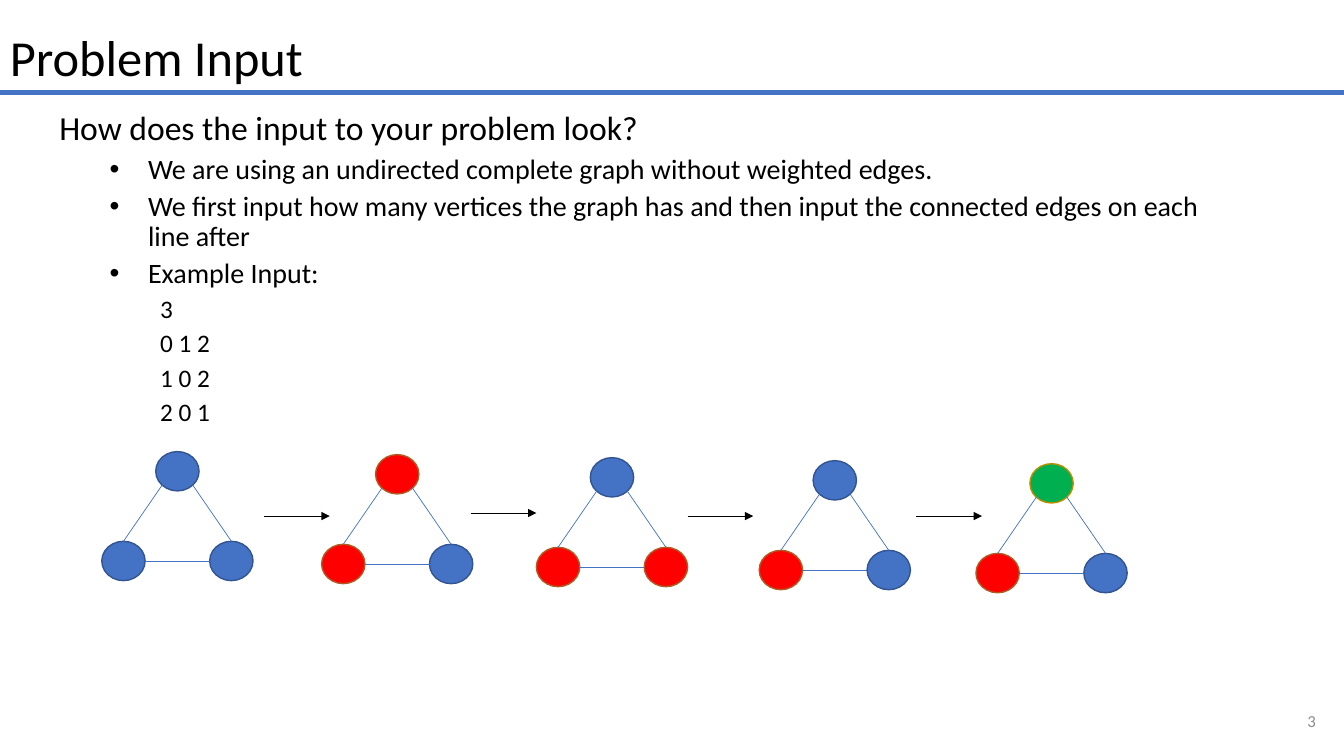
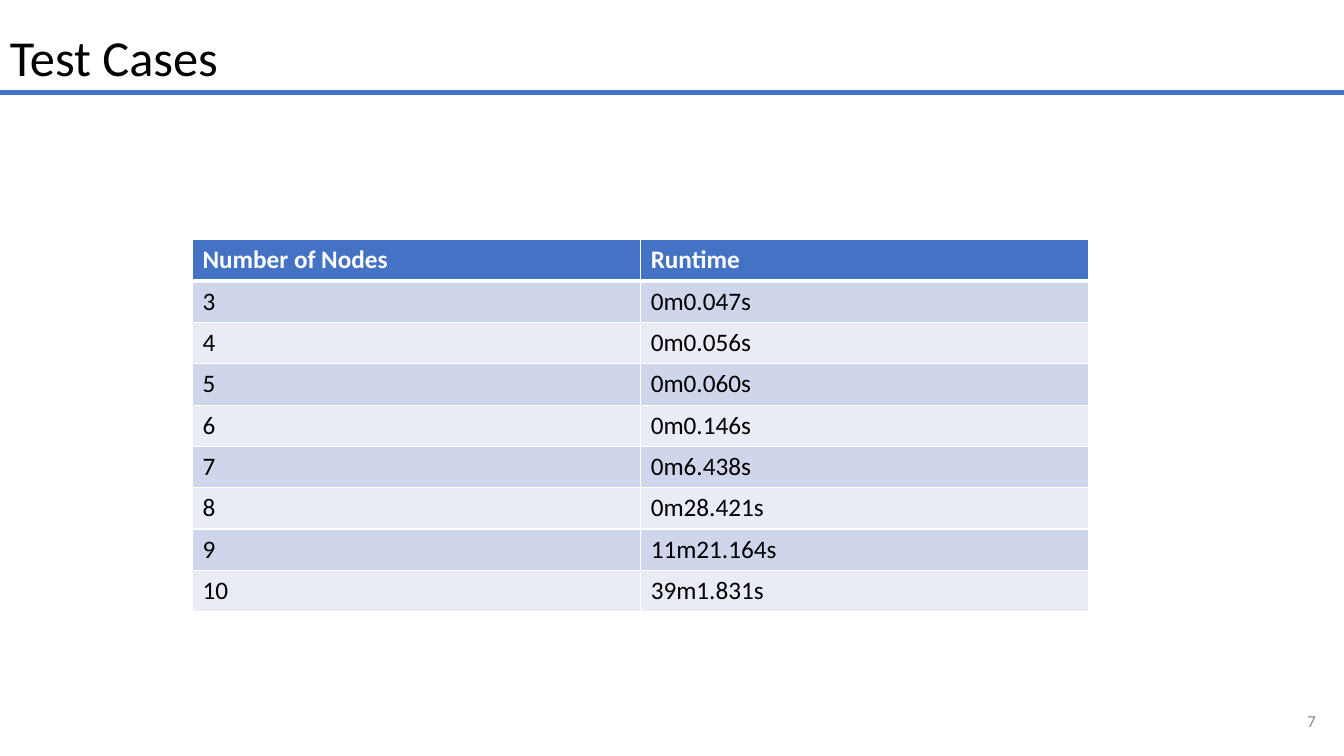
from pptx import Presentation
from pptx import util as u
from pptx.dml.color import RGBColor
from pptx.enum import shapes, text
from pptx.oxml.ns import qn
from lxml import etree

Inches, Pt = u.Inches, u.Pt

BLACK, WHITE, GREY = "000000", "FFFFFF", "8C8C8C"
BLUE, RED, GREEN = "4472C4", "FF0000", "00B050"
OUTLINES = {BLUE: "325491", RED: "AF5C24", GREEN: "BD8E00"}
BANDS = ("E9EBF5", "CFD5EA")
FONT = "Calibri"
WIDTH, HEIGHT = 13.33, 7.5

# Outline levels: size, space before, left indent, hanging indent, bullet
LEVELS = (
    (24, 10, 0, 0, False),
    (20, 5, 0.88, -0.38, True),
    (18, 5, 1, 0, False),
)


def color(value):
    return RGBColor.from_string(value)


def add_xml(parent, tag, **attributes):
    return etree.SubElement(parent, qn(tag), attributes)


class Slides:
    """Holds the shared style and the current slide."""

    def __init__(self):
        self.deck = Presentation()
        self.deck.slide_width = Inches(WIDTH)
        self.deck.slide_height = Inches(HEIGHT)
        self.page = None

    def start(self, title, number):
        """Add a slide with its title, rule and slide number."""
        self.page = self.deck.slides.add_slide(self.deck.slide_layouts[6])
        frame = self.text_box(0, -0.02, WIDTH, 0.94, text.MSO_ANCHOR.BOTTOM)
        para = frame.paragraphs[0]
        para.line_spacing = 0.9
        self.add_span(para, title, 36)
        self.line((0, 0.92), (WIDTH, 0.92), BLUE, 3.75)
        frame = self.text_box(12.47, 6.95, 0.68, 0.4, text.MSO_ANCHOR.MIDDLE)
        para = frame.paragraphs[0]
        para.alignment = text.PP_ALIGN.RIGHT
        self.add_span(para, str(number), 12, GREY)

    def add_span(self, para, words, size, ink=BLACK, bold=False):
        span = para.add_run()
        span.text = words
        span.font.name = FONT
        span.font.size = Pt(size)
        span.font.bold = bold
        span.font.color.rgb = color(ink)

    def text_box(self, left, top, width, height, anchor=text.MSO_ANCHOR.TOP):
        """Add a wrapping text box and return its text frame."""
        box = self.page.shapes.add_textbox(
            Inches(left), Inches(top), Inches(width), Inches(height))
        frame = box.text_frame
        frame.word_wrap = True
        frame.vertical_anchor = anchor
        return frame

    def outline(self, left, top, width, height, items):
        """Add a text box of (level, words) paragraphs."""
        frame = self.text_box(left, top, width, height)
        for index, (level, words) in enumerate(items):
            para = frame.add_paragraph() if index else frame.paragraphs[0]
            size, before, margin, hanging, bullet = LEVELS[level]
            para.level = level
            para.line_spacing = 0.9
            para.space_before = Pt(before)
            props = para._p.get_or_add_pPr()
            props.set("marL", str(Inches(margin)))
            props.set("indent", str(Inches(hanging)))
            if bullet:
                add_xml(props, "a:buFont", typeface="Arial")
                add_xml(props, "a:buChar", char="•")
            else:
                add_xml(props, "a:buNone")
            self.add_span(para, words, size)

    def line(self, start, end, ink, weight, arrow=False):
        points = [Inches(value) for value in (*start, *end)]
        link = self.page.shapes.add_connector(
            shapes.MSO_CONNECTOR.STRAIGHT, *points)
        link.line.color.rgb = color(ink)
        link.line.width = Pt(weight)
        props = link._element.spPr
        if arrow:
            add_xml(props.find(qn("a:ln")), "a:tailEnd", type="triangle")
        add_xml(props, "a:effectLst")

    def node(self, left, top, width, height, fill):
        dot = self.page.shapes.add_shape(
            shapes.MSO_SHAPE.OVAL,
            Inches(left), Inches(top), Inches(width), Inches(height))
        dot.shadow.inherit = False
        dot.fill.solid()
        dot.fill.fore_color.rgb = color(fill)
        dot.line.color.rgb = color(OUTLINES[fill])
        dot.line.width = Pt(1)

    def triangle(self, left, top, fills):
        """Add a complete graph of three nodes: top, lower left, lower right."""
        width, height = 0.43, 0.39
        spread, drop = 1.07, 0.89
        base = top + drop
        places = ((left + spread / 2, top), (left, base), (left + spread, base))
        for place, fill in zip(places, fills):
            self.node(*place, width, height, fill)
        # Sloping edges mirror each other about the centre
        center = left + (spread + width) / 2
        for side in (-1, 1):
            self.line((center + side * 0.15, top + 0.33),
                      (center + side * spread / 2, base), BLUE, 0.5)
        middle = base + height / 2
        self.line((left + width, middle), (left + spread, middle), BLUE, 0.5)

    def table(self, left, top, width, row_height, rows):
        grid = self.page.shapes.add_table(
            len(rows), len(rows[0]), Inches(left), Inches(top),
            Inches(width), Inches(row_height * len(rows))).table
        for r, row in enumerate(rows):
            header = r == 0
            grid.rows[r].height = Inches(row_height)
            for c, words in enumerate(row):
                cell = grid.cell(r, c)
                # The rule below the header is thicker
                weights = {"L": 1, "R": 1, "T": 3 if r == 1 else 1,
                           "B": 3 if header else 1}
                for side, weight in weights.items():
                    self.border(cell, side, weight)
                cell.fill.solid()
                cell.fill.fore_color.rgb = color(BLUE if header else BANDS[r % 2])
                self.add_span(cell.text_frame.paragraphs[0], words, 18,
                              WHITE if header else BLACK, header)

    def border(self, cell, side, weight):
        edge = add_xml(cell._tc.get_or_add_tcPr(), "a:ln" + side,
                       w=str(Pt(weight)))
        add_xml(add_xml(edge, "a:solidFill"), "a:srgbClr", val=WHITE)


def build_input(slides):
    slides.start("Problem Input", 3)
    slides.outline(0.49, 1.06, 11.73, 3.37, (
        (0, "How does the input to your problem look?"),
        (1, "We are using an undirected complete graph without weighted edges."),
        (1, "We first input how many vertices the graph has and then input "
            "the connected edges on each line after"),
        (1, "Example Input:"),
        (2, "3"),
        (2, "0 1 2"),
        (2, "1 0 2"),
        (2, "2 0 1"),
    ))

    # Search steps, each a little lower than the one before
    steps = (
        (1.01, (BLUE, BLUE, BLUE)),
        (3.19, (RED, RED, BLUE)),
        (5.32, (BLUE, RED, RED)),
        (7.53, (BLUE, RED, BLUE)),
        (9.68, (GREEN, RED, BLUE)),
    )
    for index, (left, fills) in enumerate(steps):
        slides.triangle(left, 4.48 + 0.03 * index, fills)

    # Arrows between the steps
    for left, y in ((2.62, 5.12), (4.67, 5.09), (6.82, 5.12), (9.09, 5.12)):
        slides.line((left, y), (left + 0.65, y), BLACK, 0.5, arrow=True)


def build_tests(slides):
    slides.start("Test Cases", 7)
    runtimes = ("0m0.047s", "0m0.056s", "0m0.060s", "0m0.146s",
                "0m6.438s", "0m28.421s", "11m21.164s", "39m1.831s")
    rows = [("Number of Nodes", "Runtime")]
    rows += [(str(nodes), runtime) for nodes, runtime in enumerate(runtimes, 3)]
    slides.table(1.91, 2.38, 8.89, 0.41, rows)


def main():
    slides = Slides()
    build_input(slides)
    build_tests(slides)
    slides.deck.save("out.pptx")


if __name__ == "__main__":
    main()
